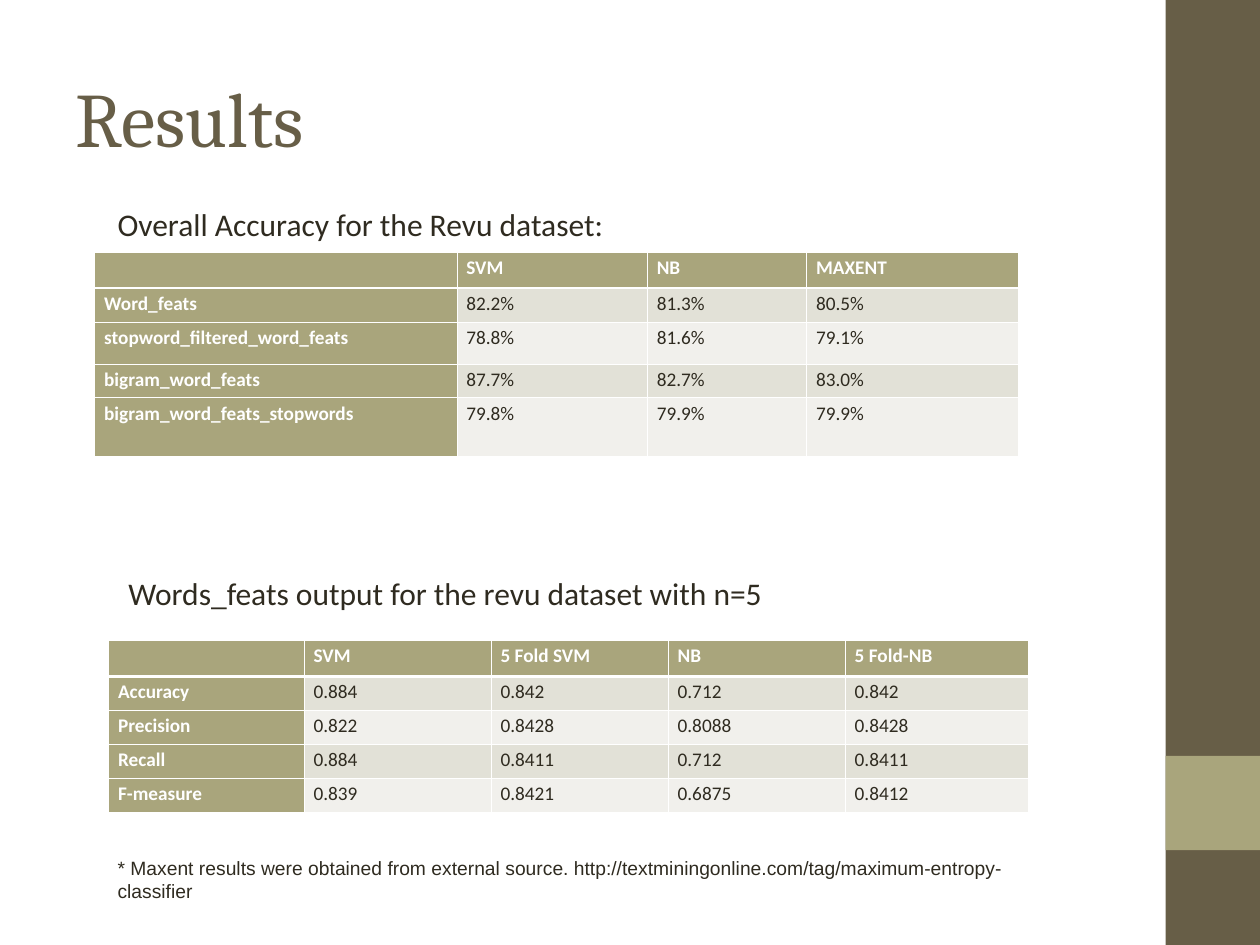
import pptx
import pptx.util
import pptx.dml.color
import pptx.enum.shapes
import pptx.enum.text
from lxml import etree

Cm, Pt = pptx.util.Cm, pptx.util.Pt
RGB = pptx.dml.color.RGBColor
ANCHOR = pptx.enum.text.MSO_ANCHOR
ALIGN = pptx.enum.text.PP_ALIGN
RECT = pptx.enum.shapes.MSO_SHAPE.RECTANGLE

BROWN = RGB(0x67, 0x5E, 0x47)
OLIVE = RGB(0xA9, 0xA5, 0x7C)
INK = RGB(0x2F, 0x2B, 0x20)
WHITE = RGB(0xFF, 0xFF, 0xFF)
BANDS = [RGB(0xE2, 0xE1, 0xD7), RGB(0xF1, 0xF0, 0xEC)]
THIN, THICK = Pt(0.45), Pt(1.47)

# left, top, width, height in cm
BARS = [
    ((23.5, 0, 1.9, 19.05), BROWN),
    ((23.5, 15.24, 1.9, 1.9), OLIVE),
]
TITLE = "Results", (1.27, 0.76, 21.17, 3.18)
NOTES = [
    ("Overall Accuracy for the Revu dataset:", (2.12, 4.01, 13.97, 1.02), 18, "Calibri"),
    ("Words_feats output for the revu dataset with n=5", (2.34, 11.45, 15.67, 1.02), 18, "Calibri"),
    ("* Maxent results were obtained from external source. "
     "http://textminingonline.com/tag/maximum-entropy-classifier",
     (2.12, 17.14, 18.67, 1.19), 11, "Arial"),
]
TABLES = [
    {
        "at": (1.91, 5.08),
        "cols": [7.3, 3.84, 3.21, 4.27],
        "rows": [0.68, 0.7, 0.83, 0.68, 1.17],
        "data": [
            ["", "SVM", "NB", "MAXENT"],
            ["Word_feats", "82.2%", "81.3%", "80.5%"],
            ["stopword_filtered_word_feats", "78.8%", "81.6%", "79.1%"],
            ["bigram_word_feats", "87.7%", "82.7%", "83.0%"],
            ["bigram_word_feats_stopwords", "79.8%", "79.9%", "79.9%"],
        ],
    },
    {
        "at": (2.19, 12.91),
        "cols": [3.94, 3.77, 3.57, 3.57, 3.7],
        "rows": [0.68] * 5,
        "data": [
            ["", "SVM", "5 Fold SVM", "NB", "5 Fold-NB"],
            ["Accuracy", "0.884", "0.842", "0.712", "0.842"],
            ["Precision", "0.822", "0.8428", "0.8088", "0.8428"],
            ["Recall", "0.884", "0.8411", "0.712", "0.8411"],
            ["F-measure", "0.839", "0.8421", "0.6875", "0.8412"],
        ],
    },
]


def style(para, size, face, color, bold=False):
    font = para.font
    font.size, font.name, font.bold = Pt(size), face, bold
    font.color.rgb = color


def edge(cell, side, width):
    """Draw one white border; call before the cell is filled."""
    props = cell._tc.get_or_add_tcPr()
    ns = "{http://schemas.openxmlformats.org/drawingml/2006/main}"
    line = etree.SubElement(props, f"{ns}ln{side}", w=str(int(width)))
    fill = etree.SubElement(line, f"{ns}solidFill")
    etree.SubElement(fill, f"{ns}srgbClr", val=str(WHITE))


def add_grid(slide, at, cols, rows, data):
    size = sum(cols), sum(rows)
    frame = slide.shapes.add_table(len(rows), len(cols), *map(Cm, at + size))
    table = frame.table
    table.first_row = table.horz_banding = False
    for col, width in zip(table.columns, cols):
        col.width = Cm(width)
    for row, high in zip(table.rows, rows):
        row.height = Cm(high)
    for r, line in enumerate(data):
        for c, text in enumerate(line):
            cell = table.cell(r, c)
            head = r == 0 or c == 0
            cell.margin_left = cell.margin_right = Cm(0.19)
            cell.margin_top = cell.margin_bottom = Cm(0.13)
            for side in "LR":
                edge(cell, side, THIN)
            edge(cell, "T", THICK if r == 1 else THIN)
            edge(cell, "B", THICK if r == 0 else THIN)
            cell.fill.solid()
            cell.fill.fore_color.rgb = OLIVE if head else BANDS[(r - 1) % 2]
            cell.text = text
            para = cell.text_frame.paragraphs[0]
            para.alignment = ALIGN.JUSTIFY
            para.line_spacing = Pt(12)
            style(para, 11, "Calibri", WHITE if head else INK, head)


def main():
    deck = pptx.Presentation()
    deck.slide_width, deck.slide_height = Cm(25.4), Cm(19.05)
    slide = deck.slides.add_slide(deck.slide_layouts[5])

    for box, color in BARS:
        bar = slide.shapes.add_shape(RECT, *map(Cm, box))
        bar.shadow.inherit = False
        bar.fill.solid()
        bar.fill.fore_color.rgb = color
        bar.line.fill.background()

    title = slide.shapes.title
    text, box = TITLE
    title.left, title.top, title.width, title.height = map(Cm, box)
    title.text = text
    title.text_frame.vertical_anchor = ANCHOR.MIDDLE
    para = title.text_frame.paragraphs[0]
    para.alignment = ALIGN.LEFT
    style(para, 44, "Cambria", BROWN)

    for text, box, size, face in NOTES:
        frame = slide.shapes.add_textbox(*map(Cm, box)).text_frame
        frame.word_wrap = True
        frame.text = text
        style(frame.paragraphs[0], size, face, INK)

    for spec in TABLES:
        add_grid(slide, **spec)

    deck.save("out.pptx")


if __name__ == "__main__":
    main()
